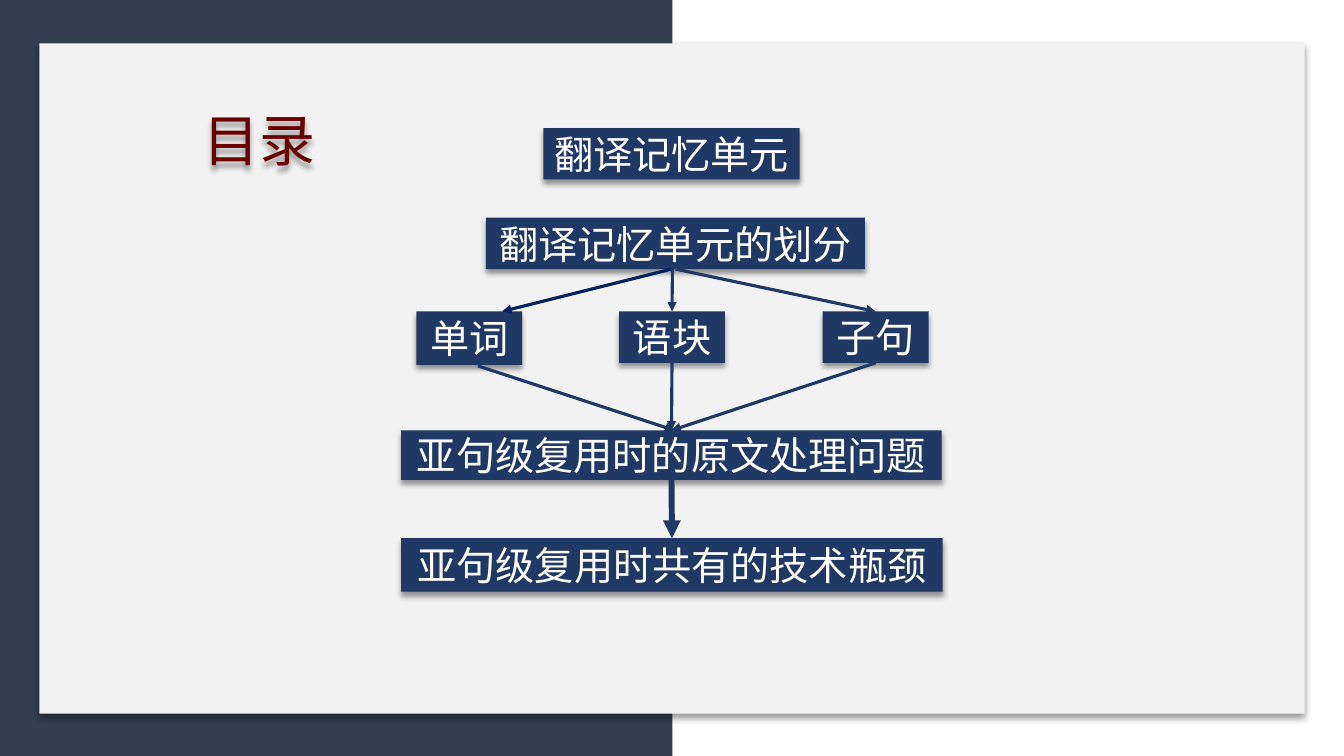
from dataclasses import dataclass
from typing import Optional

import pptx
import pptx.dml.color
import pptx.enum.shapes
import pptx.enum.text
import pptx.oxml
import pptx.oxml.ns
import pptx.util

Inches = pptx.util.Inches
FONT = "Noto Sans CJK SC"
COLORS = {
    "slate": "333F50",
    "panel": "F2F2F2",
    "title": "680000",
    "box": "203864",
    "navy": "002060",
    "white": "FFFFFF",
    "shade": "000000",
}
TOP, BOTTOM = 0, 2


@dataclass
class Box:
    text: str
    left: float
    top: float
    width: float
    height: float = 0.51


@dataclass
class Arrow:
    start: tuple[float, float]
    end: tuple[float, float]
    source: Optional[str] = None
    target: Optional[str] = None
    color: str = "box"
    width: float = 2.25


BOXES = {
    "unit": Box("翻译记忆单元", 5.39, 1.27, 2.54),
    "split": Box("翻译记忆单元的划分", 4.82, 2.16, 3.76),
    "word": Box("单词", 4.13, 3.09, 1.05, 0.53),
    "chunk": Box("语块", 6.14, 3.09, 1.05),
    "clause": Box("子句", 8.16, 3.09, 1.05),
    "limit": Box("亚句级复用时共有的技术瓶颈", 3.98, 5.34, 5.37, 0.53),
    "issue": Box("亚句级复用时的原文处理问题", 3.98, 4.27, 5.36, 0.49),
}
ARROWS = [
    Arrow((6.66, 2.67), (4.98, 3.09), color="navy"),
    Arrow((6.67, 2.67), (6.67, 3.09), target="chunk"),
    Arrow((6.7, 2.67), (8.68, 3.09), "split", "clause"),
    Arrow((8.68, 3.6), (6.66, 4.27), "clause", "issue"),
    Arrow((6.67, 3.6), (6.66, 4.27), "chunk", "issue"),
    Arrow((4.74, 3.63), (6.69, 4.27)),
    Arrow((6.67, 4.76), (6.67, 5.34), "issue", "limit", width=4.25),
]


def rgb(name: str) -> pptx.dml.color.RGBColor:
    return pptx.dml.color.RGBColor.from_string(COLORS[name])


def add_shade(shape) -> None:
    shape.shadow.inherit = False
    effects = shape.element.spPr.find(pptx.oxml.ns.qn("a:effectLst"))
    effects.append(pptx.oxml.parse_xml(
        f'<a:outerShdw {pptx.oxml.ns.nsdecls("a")} blurRad="{pptx.util.Pt(4)}" '
        f'dist="{pptx.util.Pt(3)}" dir="5400000" algn="t" rotWithShape="0">'
        f'<a:srgbClr val="{COLORS["shade"]}"><a:alpha val="40000"/></a:srgbClr>'
        '</a:outerShdw>'))


def add_text(shape, text: str, *, size: float, color: str, align: str = "LEFT",
             anchor: str = "TOP", wrap: bool = True) -> None:
    frame = shape.text_frame
    frame.word_wrap = wrap
    frame.auto_size = pptx.enum.text.MSO_AUTO_SIZE.NONE
    frame.vertical_anchor = pptx.enum.text.MSO_ANCHOR[anchor]
    line = frame.paragraphs[0]
    line.alignment = pptx.enum.text.PP_ALIGN[align]
    run = line.add_run()
    run.text = text
    run.font.size = pptx.util.Pt(size)
    run.font.name = FONT
    run.font.color.rgb = rgb(color)
    run.font.element.append(pptx.oxml.parse_xml(
        f'<a:ea {pptx.oxml.ns.nsdecls("a")} typeface="{FONT}"/>'
    )) if hasattr(run.font, "element") else run._r.get_or_add_rPr().append(
        pptx.oxml.parse_xml(
            f'<a:ea {pptx.oxml.ns.nsdecls("a")} typeface="{FONT}"/>'))


def add_rect(slide, box: Box, color: str, shade: bool = True):
    rect = slide.shapes.add_shape(
        pptx.enum.shapes.MSO_SHAPE.RECTANGLE, Inches(box.left), Inches(box.top),
        Inches(box.width), Inches(box.height))
    rect.fill.solid()
    rect.fill.fore_color.rgb = rgb(color)
    rect.line.fill.background()
    rect.shadow.inherit = False
    if shade:
        add_shade(rect)
    if box.text:
        add_text(rect, box.text, size=28, color="white", align="CENTER",
                 anchor="MIDDLE", wrap=False)
    return rect


def add_title(slide) -> None:
    title = slide.shapes.title
    title.left, title.top = Inches(1.92), Inches(1)
    title.width, title.height = Inches(2.82), Inches(0.77)
    add_text(title, "目录", size=40, color="title")
    add_shade(title)
    slide.shapes.element.append(title.element)


def add_arrow(slide, arrow: Arrow, rects: dict) -> None:
    line = slide.shapes.add_connector(
        pptx.enum.shapes.MSO_CONNECTOR.STRAIGHT,
        *map(Inches, arrow.start + arrow.end))
    line.line.color.rgb = rgb(arrow.color)
    line.line.width = pptx.util.Pt(arrow.width)
    props = line.element.spPr
    props.find(pptx.oxml.ns.qn("a:ln")).append(pptx.oxml.parse_xml(
        f'<a:tailEnd {pptx.oxml.ns.nsdecls("a")} type="triangle"/>'))
    props.append(pptx.oxml.parse_xml(
        f'<a:effectLst {pptx.oxml.ns.nsdecls("a")}/>'))
    if arrow.source:
        line.begin_connect(rects[arrow.source], BOTTOM)
    if arrow.target:
        line.end_connect(rects[arrow.target], TOP)


def main() -> None:
    deck = pptx.Presentation()
    deck.slide_width, deck.slide_height = Inches(13.33), Inches(7.5)
    slide = deck.slides.add_slide(deck.slide_layouts[5])
    add_rect(slide, Box("", 0, 0, 6.67, 7.5), "slate", shade=False)
    add_rect(slide, Box("", 0.39, 0.43, 12.55, 6.65), "panel")
    add_title(slide)
    rects = {name: add_rect(slide, box, "box") for name, box in BOXES.items()}
    for arrow in ARROWS:
        add_arrow(slide, arrow, rects)
    deck.save("out.pptx")


if __name__ == "__main__":
    main()
